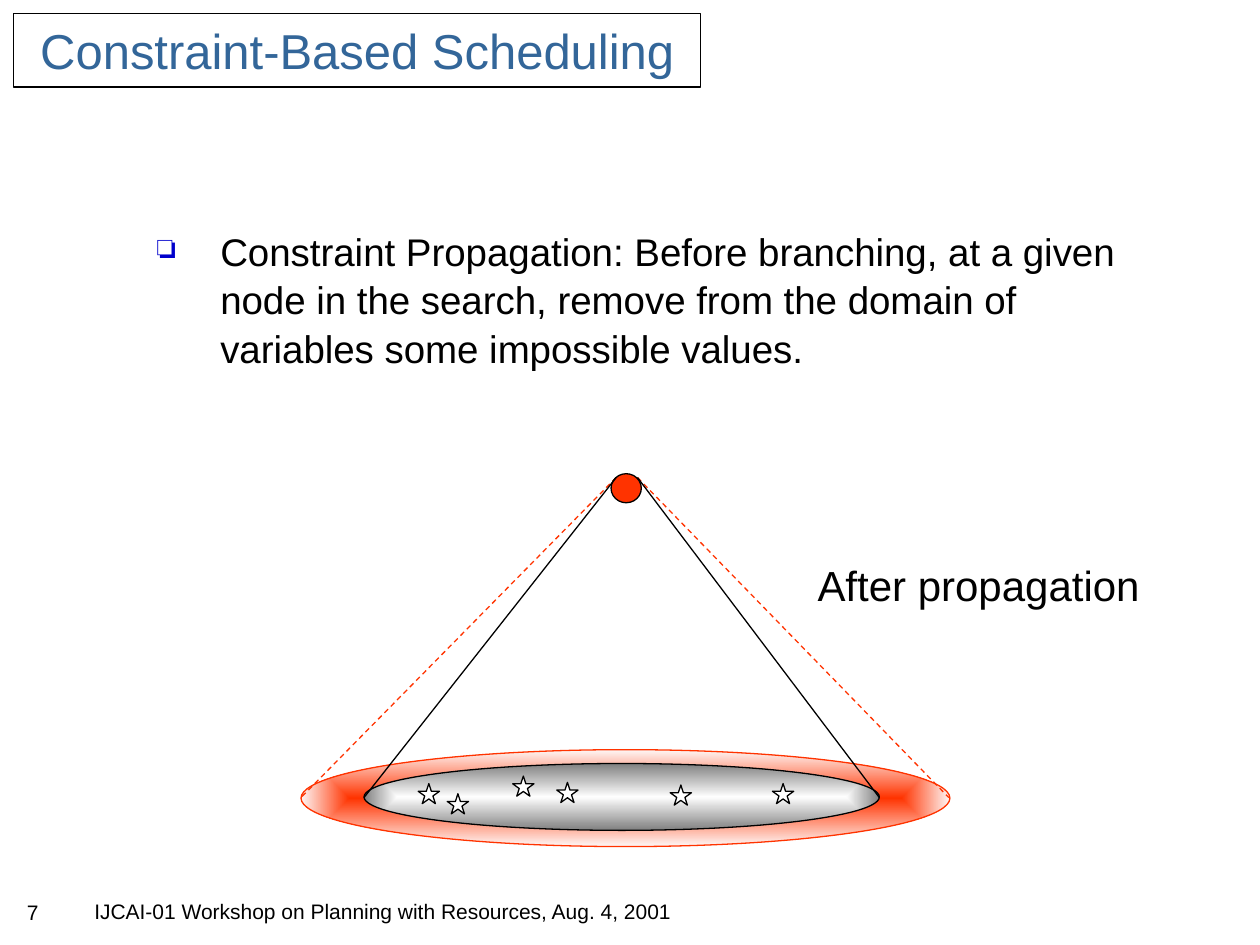
import pptx
import pptx.util
import pptx.dml.color
import pptx.enum.dml
import pptx.enum.shapes
import pptx.enum.text
import pptx.oxml
import pptx.oxml.ns

Pt = pptx.util.Pt
SHAPE = pptx.enum.shapes.MSO_SHAPE
ALIGN = pptx.enum.text.PP_ALIGN
HUES = {"ink": "000000", "title": "336699", "bullet": "0000CC", "red": "FF3300",
        "blush": "FEF7F6", "pale": "FEFEFE", "gray": "808080", "white": "FFFFFF"}
STARS = [(67, 177.1), (121, 172.8), (146.2, 176.4),
         (211, 177.9), (269.4, 177.1), (83.6, 182.9)]


def hue(name):
    """Return the named colour."""
    return pptx.dml.color.RGBColor.from_string(HUES[name])


def child(parent, tag, **attrs):
    """Append a drawing element with the given attributes."""
    node = pptx.oxml.parse_xml(f"<a:{tag} {pptx.oxml.ns.nsdecls('a')}/>")
    for key, value in attrs.items():
        node.set(key, str(value))
    parent.append(node)
    return node


def write(shape, text, size, color="ink", align=ALIGN.LEFT, wrap=False):
    """Fill a shape with one styled run and return its paragraph."""
    frame = shape.text_frame
    frame.word_wrap = wrap
    frame.vertical_anchor = pptx.enum.text.MSO_ANCHOR.TOP
    frame.margin_left = frame.margin_right = Pt(7.2)
    frame.margin_top = frame.margin_bottom = Pt(3.6)
    para = frame.paragraphs[0]
    para.alignment = align
    run = para.add_run()
    run.text = text
    run.font.name = "Arial"
    run.font.size = Pt(size)
    run.font.color.rgb = hue(color)
    return para


def label(slide, box, text, size, **style):
    """Add a text box and return its paragraph."""
    return write(slide.shapes.add_textbox(*map(Pt, box)), text, size, **style)


def draw(slide, kind, box, fill=None, line="ink"):
    """Add an outlined shape with a plain fill, a centred gradient or none."""
    shape = slide.shapes.add_shape(kind, *map(Pt, box))
    shape.shadow.inherit = False
    shape.line.color.rgb = hue(line)
    shape.line.width = Pt(0.75)
    if fill is None:
        shape.fill.background()
    elif isinstance(fill, str):
        shape.fill.solid()
        shape.fill.fore_color.rgb = hue(fill)
    else:
        shape.fill.gradient()
        for stop, name in zip(shape.fill.gradient_stops, fill):
            stop.color.rgb = hue(name)
        grad = shape.element.spPr.find(pptx.oxml.ns.qn("a:gradFill"))
        grad.remove(grad.find(pptx.oxml.ns.qn("a:lin")))
        half = dict.fromkeys("ltrb", 50000)
        child(child(grad, "path", path="rect"), "fillToRect", **half)
    return shape


def edge(slide, start, end, color, dashed=False):
    """Add a straight thin line."""
    link = slide.shapes.add_connector(
        pptx.enum.shapes.MSO_CONNECTOR.STRAIGHT, *map(Pt, start + end))
    link.line.color.rgb = hue(color)
    link.line.width = Pt(0.75)
    if dashed:
        link.line.dash_style = pptx.enum.dml.MSO_LINE.DASH
    child(link.element.spPr, "effectLst")


def header(slide, box):
    """Place the framed title."""
    left, top, width, height = box
    title = slide.shapes.title
    title.left, title.top = Pt(left + 7.9), Pt(top)
    title.width, title.height = Pt(width - 15.8), Pt(height)
    write(title, "Constraint-Based Scheduling", 28, "title")
    draw(slide, SHAPE.RECTANGLE, box)


def body(slide, box):
    """Place the bulleted statement."""
    para = label(slide, box, "Constraint Propagation: Before branching, at a given "
                 "node in the search, remove from the domain of variables some "
                 "impossible values.", 22, wrap=True)
    para.line_spacing = 1.05
    para.space_after = Pt(5.5)
    props = para._p.get_or_add_pPr()
    props.set("marL", str(Pt(36)))
    props.set("indent", str(Pt(-36)))
    child(child(props, "buClr"), "srgbClr", val=HUES["bullet"])
    child(props, "buSzPct", val=85000)
    child(props, "buChar", char="❏")


def tree(slide, box):
    """Place the search node, its two cones and the remaining solutions."""
    left, top, width, height = box

    def spot(x, y, *size):
        return (left + x, top + y) + size

    def cone(near, far, color, dashed=False):
        for apex, base in ((180.1, near), (192.3, far)):
            edge(slide, spot(apex, 2.2), spot(base, 185.1), color, dashed)

    draw(slide, SHAPE.OVAL, spot(0, height - 55.4, width, 55.4),
         ("red", "blush"), "red")
    cone(0, width - 0.6, "red", True)
    draw(slide, SHAPE.OVAL, spot(177.2, 0, 17.3, 16.6), "red")
    draw(slide, SHAPE.OVAL, spot(36, 165.6, 294.5, 38.2), ("pale", "gray"))
    for x, y in STARS:
        draw(slide, SHAPE.STAR_5_POINT, spot(x, y, 12.2, 11.5), "white")
    cone(36, 330.5, "ink")
    label(slide, spot(288.1, 45.4, 198.7, 36), "After propagation", 24)


def footer(slide, box):
    """Place the page number and the event name."""
    left, top, width, height = box
    label(slide, (left, top + 0.7, 21.6, height), "7", 12,
          align=ALIGN.CENTER, wrap=True)
    label(slide, (left + 38.9, top, width - 38.9, height),
          "IJCAI-01 Workshop on Planning with Resources, Aug. 4, 2001", 12)


def main():
    """Build and save the slide."""
    deck = pptx.Presentation()
    deck.slide_width, deck.slide_height = Pt(720), Pt(540)
    slide = deck.slides.add_slide(deck.slide_layouts[5])
    header(slide, (7.9, 7.9, 392.4, 41.8))
    body(slide, (82.8, 125.3, 590.4, 106.6))
    tree(slide, (172, 270.7, 370.8, 213.1))
    footer(slide, (7.9, 509.8, 387.4, 21.6))
    deck.save("out.pptx")


if __name__ == "__main__":
    main()
